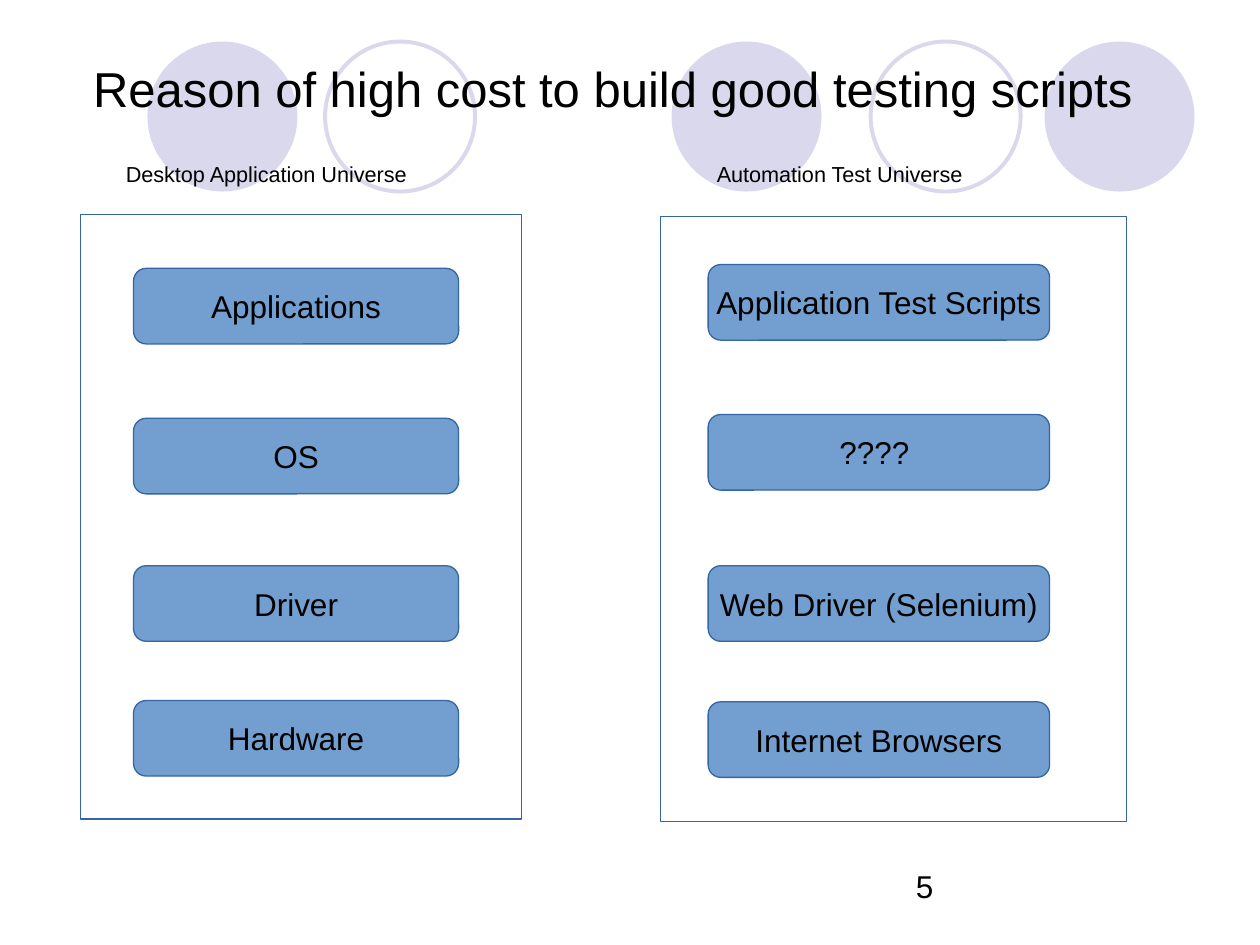
from dataclasses import dataclass

from pptx import Presentation
from pptx.dml.color import RGBColor
from pptx.enum.shapes import MSO_SHAPE as Preset
from pptx.enum.text import MSO_ANCHOR as Anchor, PP_ALIGN as Align
from pptx.util import Inches, Pt


@dataclass(frozen=True)
class Theme:
    font: str = "Arial"
    ink: RGBColor = RGBColor(0x00, 0x00, 0x00)
    circle: RGBColor = RGBColor(0xD9, 0xD8, 0xEC)
    layer: RGBColor = RGBColor(0x72, 0x9F, 0xCF)
    outline: RGBColor = RGBColor(0x34, 0x65, 0xA4)
    title_size: float = 28
    body_size: float = 18
    caption_size: float = 12.4
    thin: float = 0.75
    thick: float = 2.25


THEME = Theme()


def write(shape, text, size, align=Align.LEFT, anchor=Anchor.TOP, wrap=True):
    frame = shape.text_frame
    frame.word_wrap = wrap
    frame.vertical_anchor = anchor
    paragraph = frame.paragraphs[0]
    paragraph.text = text
    paragraph.alignment = align
    paragraph.font.name = THEME.font
    paragraph.font.size = Pt(size)
    paragraph.font.color.rgb = THEME.ink


def add_label(slide, box, text, size, anchor=Anchor.TOP):
    label = slide.shapes.add_textbox(*map(Inches, box))
    write(label, text, size, anchor=anchor)


def add_figure(slide, preset, box, fill=None, line=None, weight=THEME.thin):
    figure = slide.shapes.add_shape(preset, *map(Inches, box))
    figure.shadow.inherit = False
    if fill is None:
        figure.fill.background()
    else:
        figure.fill.solid()
        figure.fill.fore_color.rgb = fill
    if line is None:
        figure.line.fill.background()
    else:
        figure.line.color.rgb = line
        figure.line.width = Pt(weight)
    return figure


def add_circle_band(slide, box):
    left, top, _, diameter = box
    for offset, style in (
        (4.16, "fill"),
        (7.12, "fill"),
        (0, "fill"),
        (5.74, "line"),
        (1.41, "line"),
    ):
        add_figure(slide, Preset.OVAL, (left + offset, top, diameter, diameter),
                   weight=THEME.thick, **{style: THEME.circle})


def add_universe(slide, box, caption, caption_inset, layer_inset, layer_width, layers):
    left, top, width, _ = box
    add_figure(slide, Preset.RECTANGLE, box, line=THEME.outline)
    add_label(slide, (left + caption_inset, 1.23, width - caption_inset, 0.32),
              caption, THEME.caption_size)
    for name, offset in layers:
        layer = add_figure(slide, Preset.ROUNDED_RECTANGLE,
                           (left + layer_inset, top + offset, layer_width, 0.6),
                           THEME.layer, THEME.outline)
        write(layer, name, THEME.body_size, Align.CENTER, Anchor.MIDDLE, wrap=False)


def main():
    deck = Presentation()
    deck.slide_width, deck.slide_height = Inches(10), Inches(7.5)
    slide = deck.slides.add_slide(deck.slide_layouts[6])

    add_circle_band(slide, (1.17, 0.33, 8.31, 1.19))
    add_label(slide, (7.17, 6.83, 2.31, 0.48), "5", THEME.body_size)
    add_label(slide, (0.64, 0.21, 8.53, 0.97),
              "Reason of high cost to build good testing scripts",
              THEME.title_size, Anchor.MIDDLE)
    add_universe(
        slide, (0.64, 1.7, 3.5, 4.8), "Desktop Application Universe", 0.26, 0.42, 2.58,
        (("Applications", 0.43), ("OS", 1.62), ("Driver", 2.79), ("Hardware", 3.86)),
    )
    add_universe(
        slide, (5.24, 1.72, 3.7, 4.8), "Automation Test Universe", 0.35, 0.38, 2.71,
        (("Application Test Scripts", 0.38), ("???? ", 1.57),
         ("Web Driver (Selenium)", 2.77), ("Internet Browsers", 3.85)),
    )
    deck.save("out.pptx")


if __name__ == "__main__":
    main()
